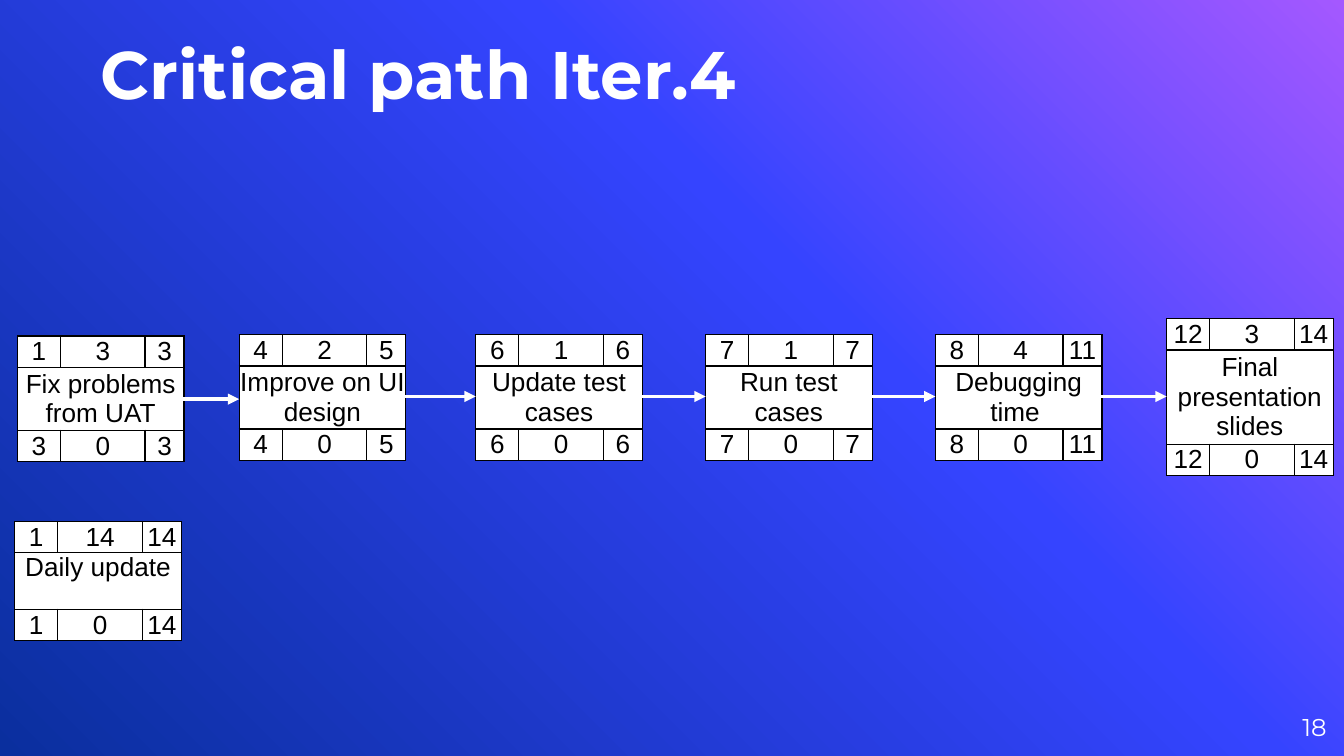
from copy import deepcopy
from lxml import etree
from pptx import Presentation
from pptx.dml.color import RGBColor
from pptx.enum.shapes import MSO_CONNECTOR
from pptx.enum.text import MSO_ANCHOR, PP_ALIGN
from pptx.oxml.ns import qn
from pptx.util import Inches, Pt

STRAIGHT = MSO_CONNECTOR.STRAIGHT
TOP, MIDDLE = MSO_ANCHOR.TOP, MSO_ANCHOR.MIDDLE
LEFT, CENTER, RIGHT = PP_ALIGN.LEFT, PP_ALIGN.CENTER, PP_ALIGN.RIGHT

WHITE, BLACK = "FFFFFF", "000000"
GRADIENT = [(0, "A458FF"), (0.39, "3544FF"), (1, "0A2F9E")]
COLUMNS = [0.32, 0.63, 0.29]
ROWS = [0.21, 0.42, 0.21]
NODE_W = 1.23

# left, top, height, top row, name, bottom row
PATH = [
    (0.13, 2.5, 0.93, "1 3 3", "Fix problems from UAT", "3 0 3"),
    (1.78, 2.49, 0.93, "4 2 5", "Improve on UI design", "4 0 5"),
    (3.54, 2.49, 0.93, "6 1 6", "Update test cases", "6 0 6"),
    (5.25, 2.49, 0.93, "7 1 7", "Run test cases", "7 0 7"),
    (6.96, 2.49, 0.93, "8 4 11", "Debugging time ", "8 0 11"),
    (8.68, 2.37, 1.17, "12 3 14", "Final presentation slides", "12 0 14"),
]
DAILY = (0.11, 3.88, 0.93, "1 14 14", "Daily update", "1 0 14")
ARROW_Y = [2.97, 2.95, 2.95, 2.95, 2.95]


def rgb(value):
    return RGBColor.from_string(value)


def write(tf, text, align, font, size, color, bold=False):
    p = tf.paragraphs[0]
    p.alignment = align
    r = p.add_run()
    r.text = text
    r.font.color.rgb = rgb(color)
    for name, value in {"name": font, "size": Pt(size), "bold": bold}.items():
        setattr(r.font, name, value)


def clear_margins(target):
    for side in ("left", "top", "right", "bottom"):
        setattr(target, f"margin_{side}", 0)


def add_background(s):
    fill = s.background.fill
    fill.gradient()
    fill.gradient_angle = 225
    stop_list = s.element.find(".//" + qn("a:gsLst"))
    stop_list.append(deepcopy(stop_list[-1]))
    for stop, (position, color) in zip(fill.gradient_stops, GRADIENT):
        stop.color.rgb = rgb(color)
        stop.position = position


def add_text(s, box, text, align, anchor, size, bold=False):
    tf = s.shapes.add_textbox(*map(Inches, box)).text_frame
    tf.word_wrap = True
    tf.vertical_anchor = anchor
    clear_margins(tf)
    write(tf, text, align, "Montserrat", size, WHITE, bold)


def style_cell(cell, anchor):
    clear_margins(cell)
    cell.vertical_anchor = anchor
    # Borders come before the fill in the cell properties
    props = cell._tc.get_or_add_tcPr()
    for side in "LRTB":
        line = etree.SubElement(props, qn(f"a:ln{side}"), w=str(Pt(0.75)))
        solid = etree.SubElement(line, qn("a:solidFill"))
        etree.SubElement(solid, qn("a:srgbClr"), val=BLACK)
    cell.fill.solid()
    cell.fill.fore_color.rgb = rgb(WHITE)


def add_node(s, node, name_anchor=MIDDLE):
    left, top, height, first, name, last = node
    frame = s.shapes.add_table(3, 3, *map(Inches, (left, top, NODE_W, height)))
    table = frame.table
    table.first_row = table.horz_banding = False
    for column, width in zip(table.columns, COLUMNS):
        column.width = Inches(width)
    for row, row_height in zip(table.rows, ROWS):
        row.height = Inches(row_height)
    # Resizing rows and columns also resizes the frame
    frame.width, frame.height = Inches(NODE_W), Inches(height)
    table.cell(1, 0).merge(table.cell(1, 2))
    for i, texts in enumerate([first.split(), [name, "", ""], last.split()]):
        for j, text in enumerate(texts):
            cell = table.cell(i, j)
            style_cell(cell, name_anchor if i == 1 else MIDDLE)
            if text:
                write(cell.text_frame, text, CENTER, "Arial", 14, BLACK)


def add_arrow(s, x1, x2, y):
    arrow = s.shapes.add_connector(STRAIGHT, *map(Inches, (x1, y, x2, y)))
    arrow.line.color.rgb = rgb(WHITE)
    arrow.line.width = Pt(2)
    etree.SubElement(arrow.line._get_or_add_ln(), qn("a:tailEnd"), type="triangle")
    etree.SubElement(arrow._element.spPr, qn("a:effectLst"))


def add_critical_path(s):
    for node in PATH:
        add_node(s, node)
    # Each arrow spans the gap between two neighbours
    for node, following, y in zip(PATH, PATH[1:], ARROW_Y):
        add_arrow(s, node[0] + NODE_W, following[0], y)


def main():
    prs = Presentation()
    prs.slide_width = Inches(10)
    prs.slide_height = prs.slide_width * 9 // 16
    s = prs.slides.add_slide(prs.slide_layouts[6])
    add_background(s)
    # Page number and title
    add_text(s, (9.27, 5.19, 0.6, 0.43), "18", RIGHT, MIDDLE, 13)
    add_text(s, (0.75, 0.24, 5.36, 1.35), "Critical path Iter.4", LEFT, TOP, 36, True)
    # Activity nodes
    add_critical_path(s)
    add_node(s, DAILY, TOP)
    prs.save("out.pptx")


if __name__ == "__main__":
    main()
